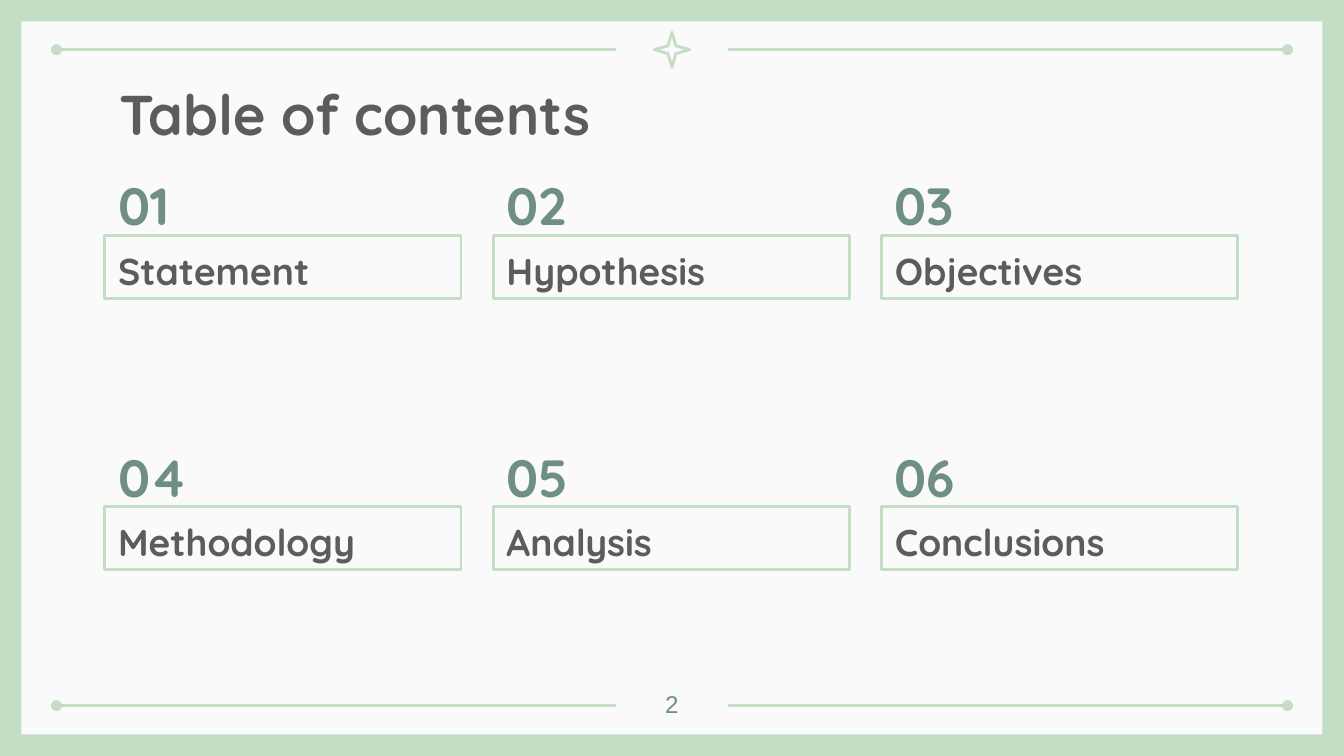
from dataclasses import dataclass

from lxml import etree
from pptx import Presentation
from pptx.dml.color import RGBColor
from pptx.enum.shapes import MSO_CONNECTOR, MSO_SHAPE
from pptx.enum.text import MSO_ANCHOR, PP_ALIGN
from pptx.oxml.ns import qn
from pptx.util import Inches, Pt

RECTANGLE, STAR = MSO_SHAPE.RECTANGLE, MSO_SHAPE.STAR_4_POINT
STRAIGHT = MSO_CONNECTOR.STRAIGHT
TOP, MIDDLE = MSO_ANCHOR.TOP, MSO_ANCHOR.MIDDLE
LEFT, CENTER = PP_ALIGN.LEFT, PP_ALIGN.CENTER


@dataclass(frozen=True)
class Theme:
    green: RGBColor = RGBColor.from_string("C4DDC5")
    paper: RGBColor = RGBColor.from_string("FAFAFA")
    ink: RGBColor = RGBColor.from_string("5C5C5F")
    accent: RGBColor = RGBColor.from_string("6E8F81")
    font: str = "Quicksand"
    page_font: str = "Arial"
    title_size: Pt = Pt(30)
    number_size: Pt = Pt(28)
    topic_size: Pt = Pt(20)
    page_size: Pt = Pt(13)
    line_width: Pt = Pt(1.5)


THEME = Theme()
SLIDE_WIDTH = 10
SLIDE_HEIGHT = SLIDE_WIDTH * 9 / 16
MARGIN = 0.16
RULE_OUTER, RULE_INNER = 0.42, 4.58
RULE_HEIGHTS = (0.37, 5.25)
COLUMNS = 3
GRID_LEFT, COLUMN_STEP = 0.78, 2.89
GRID_TOP, ROW_STEP = 1.25, 2.02
TOPIC_OFFSET = 0.5
TOPICS = ("Statement", "Hypothesis", "Objectives",
          "Methodology", "Analysis", "Conclusions")


def write(shape, text, size, color, font=THEME.font, bold=True,
          anchor=TOP, align=LEFT, spacing=None):
    frame = shape.text_frame
    frame.word_wrap = True
    frame.vertical_anchor = anchor
    frame.margin_left = frame.margin_right = Inches(0.1)
    frame.margin_top = frame.margin_bottom = Inches(0.1)
    frame.text = text
    paragraph = frame.paragraphs[0]
    paragraph.alignment = align
    if spacing:
        paragraph.line_spacing = spacing
    style = paragraph.runs[0].font
    style.name, style.size, style.bold = font, size, bold
    style.color.rgb = color


def add_label(slide, box, text, size, color, **layout):
    label = slide.shapes.add_textbox(*map(Inches, box))
    write(label, text, size, color, **layout)


def add_outline(slide, preset, box):
    """Add an unfilled shape with a green border."""
    outline = slide.shapes.add_shape(preset, *map(Inches, box))
    outline.shadow.inherit = False
    outline.fill.background()
    outline.line.color.rgb = THEME.green
    outline.line.width = THEME.line_width
    return outline


def add_rule(slide, outer, inner, height):
    """Add a horizontal line with a dot at its outer end."""
    rule = slide.shapes.add_connector(
        STRAIGHT, Inches(outer), Inches(height), Inches(inner), Inches(height))
    rule.line.color.rgb = THEME.green
    rule.line.width = THEME.line_width
    properties = rule._element.spPr
    etree.SubElement(properties.find(qn("a:ln")), qn("a:headEnd"), type="oval")
    etree.SubElement(properties, qn("a:effectLst"))


def add_frame(slide):
    background = slide.background.fill
    background.solid()
    background.fore_color.rgb = THEME.green
    paper = slide.shapes.add_shape(
        RECTANGLE, Inches(MARGIN), Inches(MARGIN),
        Inches(SLIDE_WIDTH - 2 * MARGIN), Inches(SLIDE_HEIGHT - 2 * MARGIN))
    paper.shadow.inherit = False
    paper.fill.solid()
    paper.fill.fore_color.rgb = THEME.paper
    paper.line.fill.background()
    for height in RULE_HEIGHTS:
        add_rule(slide, RULE_OUTER, RULE_INNER, height)
        add_rule(slide, SLIDE_WIDTH - RULE_OUTER,
                 SLIDE_WIDTH - RULE_INNER, height)
    star = add_outline(slide, STAR, (4.87, 0.24, 0.26, 0.26))
    star.adjustments[0] = 0.16


def add_entry(slide, index, topic):
    row, column = divmod(index, COLUMNS)
    left = GRID_LEFT + column * COLUMN_STEP
    top = GRID_TOP + row * ROW_STEP
    add_label(slide, (left, top, 0.72, 0.48), f"{index + 1:02}",
              THEME.number_size, THEME.accent, anchor=MIDDLE, spacing=1.15)
    topic_box = add_outline(
        slide, RECTANGLE, (left, top + TOPIC_OFFSET, 2.65, 0.47))
    write(topic_box, topic, THEME.topic_size, THEME.ink,
          anchor=MIDDLE, spacing=1.15)


def main():
    deck = Presentation()
    deck.slide_width = Inches(SLIDE_WIDTH)
    deck.slide_height = Inches(SLIDE_HEIGHT)
    slide = deck.slides.add_slide(deck.slide_layouts[6])
    add_frame(slide)
    add_label(slide, (0.79, 0.49, 8.43, 0.63), "Table of contents",
              THEME.title_size, THEME.ink)
    for index, topic in enumerate(TOPICS):
        add_entry(slide, index, topic)
    add_label(slide, (4.7, 5.03, 0.6, 0.36), "2", THEME.page_size,
              THEME.accent, font=THEME.page_font, bold=False, align=CENTER)
    deck.save("out.pptx")


if __name__ == "__main__":
    main()
